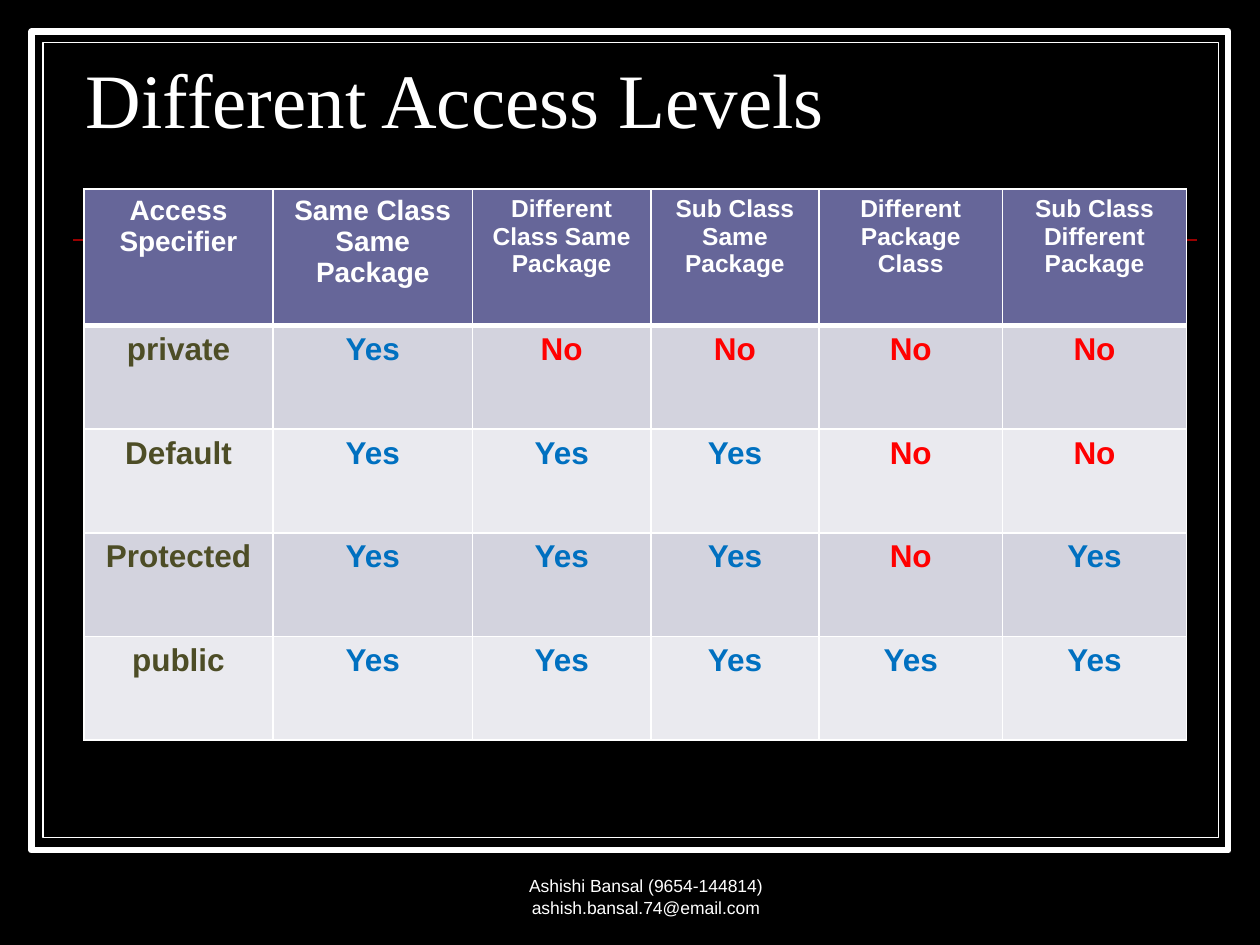
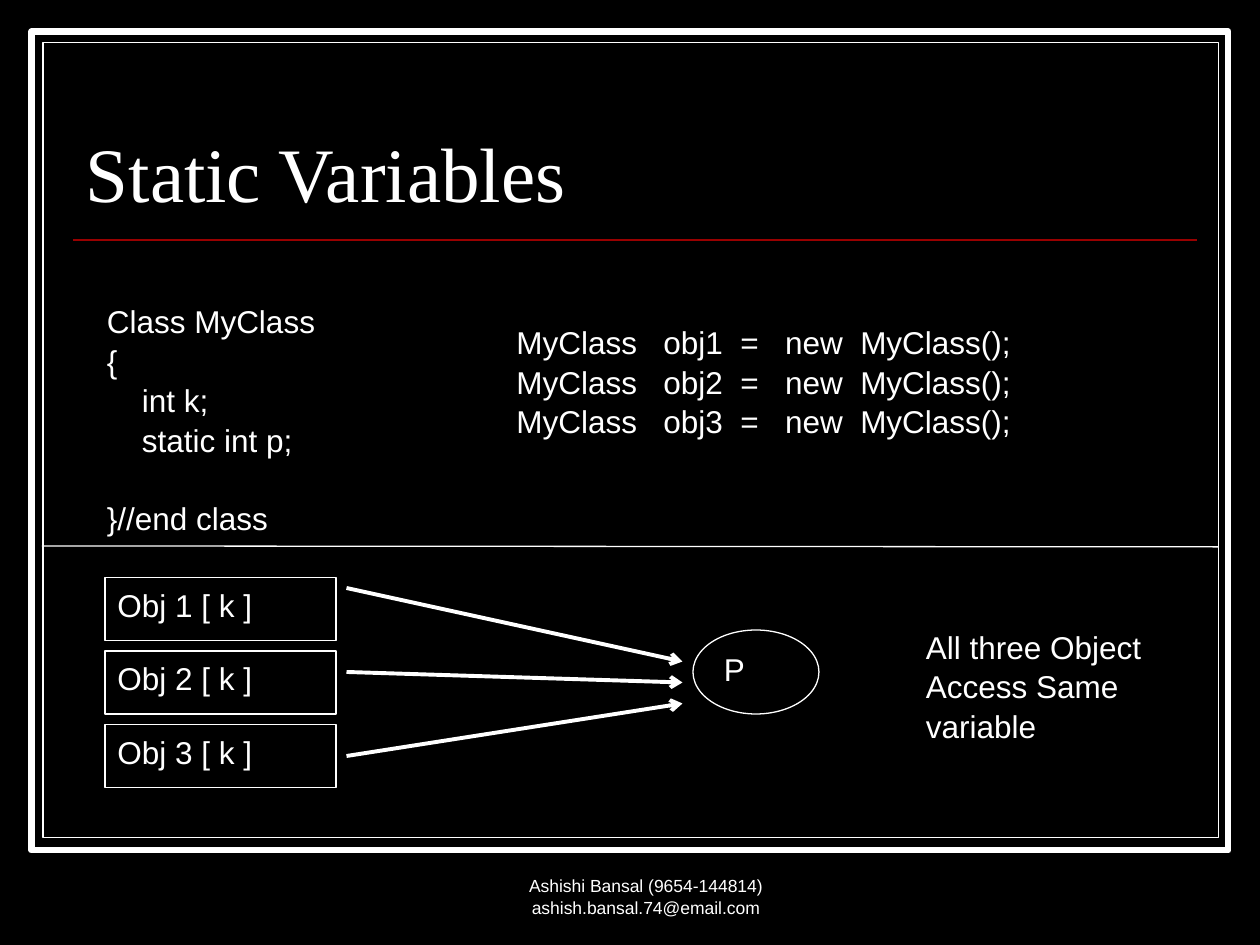
from copy import deepcopy

from lxml import etree
from pptx import Presentation
from pptx.dml.color import RGBColor
from pptx.enum.shapes import MSO_CONNECTOR, MSO_SHAPE
from pptx.enum.text import MSO_ANCHOR, PP_ALIGN
from pptx.oxml.ns import qn
from pptx.util import Pt

RECT, OVAL = MSO_SHAPE.RECTANGLE, MSO_SHAPE.OVAL
LINE = MSO_CONNECTOR.STRAIGHT
TOP, BOTTOM = MSO_ANCHOR.TOP, MSO_ANCHOR.BOTTOM
LEFT, CENTER = PP_ALIGN.LEFT, PP_ALIGN.CENTER

BLACK, WHITE, RULE = "000000", "FFFFFF", "990000"
HEAD, BANDS = "666699", ("D3D3DE", "EAEAEF")
INKS = {"Yes": "0070C0", "No": "FF0000"}
OLIVE = "4D4D26"
FOOTER = "Ashishi Bansal (9654-144814) ashish.bansal.74@email.com"


def color(code):
    return RGBColor.from_string(code)


class Deck:
    body = {"name": "Arial", "size": Pt(18)}
    head = {"name": "Times New Roman", "size": Pt(44)}
    small = {"name": "Arial", "size": Pt(10)}

    def __init__(self):
        self.prs = Presentation()
        self.prs.slide_width, self.prs.slide_height = Pt(720), Pt(540)
        self.slide = None

    # Shared page: background, double frame, rule, title, footer
    def page(self, title, box):
        self.slide = self.prs.slides.add_slide(self.prs.slide_layouts[6])
        fill = self.slide.background.fill
        fill.solid()
        fill.fore_color.rgb = color(BLACK)
        self.shape(RECT, (18, 18, 684, 468), width=3.5, fill=BLACK)
        self.shape(RECT, (24.5, 24.5, 672, 454), fill=BLACK)
        self.line((42, 137), (684, 137), RULE, 1)
        self.text(box, [title], self.head, space=0.8, anchor=BOTTOM)
        self.text((255, 492, 228, 36), [FOOTER], self.small,
                  align=CENTER, anchor=BOTTOM)

    # Fill in paragraphs; a newline inside one is a line break
    def put(self, frame, lines, font, ink=WHITE, align=LEFT, space=1.05):
        for i, line in enumerate(lines):
            par = frame.add_paragraph() if i else frame.paragraphs[0]
            par.text = line
            par.alignment = align
            par.line_spacing = space
            for run in par.runs:
                for key, value in font.items():
                    setattr(run.font, key, value)
                run.font.color.rgb = color(ink)
            for gap in par._p.findall(qn("a:br")):
                gap.insert(0, deepcopy(par.runs[0].font._element))

    def text(self, box, lines, font=None, anchor=TOP, **form):
        item = self.slide.shapes.add_textbox(*map(Pt, box))
        frame = item.text_frame
        frame.word_wrap = True
        frame.vertical_anchor = anchor
        self.put(frame, lines, font or self.body, **form)
        return frame.paragraphs

    def tabs(self, par, stops):
        tabs = etree.SubElement(par._p.get_or_add_pPr(), qn("a:tabLst"))
        for stop in stops:
            etree.SubElement(tabs, qn("a:tab"), pos=str(Pt(stop)), algn="l")

    def shape(self, kind, box, label=None, width=0.75, fill=None):
        item = self.slide.shapes.add_shape(kind, *map(Pt, box))
        item.shadow.inherit = False
        if fill:
            item.fill.solid()
            item.fill.fore_color.rgb = color(fill)
        else:
            item.fill.background()
        item.line.color.rgb = color(WHITE)
        item.line.width = Pt(width)
        if label:
            item.text_frame.vertical_anchor = TOP
            self.put(item.text_frame, [label], self.body)

    def line(self, start, end, ink=WHITE, width=0.75, arrow=False):
        item = self.slide.shapes.add_connector(LINE, *map(Pt, start + end))
        item.line.color.rgb = color(ink)
        item.line.width = Pt(width)
        if arrow:
            edge = item._element.spPr.find(qn("a:ln"))
            etree.SubElement(edge, qn("a:tailEnd"), type="arrow")
        etree.SubElement(item._element.spPr, qn("a:effectLst"))

    def cell(self, cell, label, fill, ink, size, edges):
        self.put(cell.text_frame, [label],
                 {"name": "Arial", "size": Pt(size), "bold": True},
                 ink=ink, align=CENTER, space=1)
        props = cell._tc.get_or_add_tcPr()
        for side, width in edges.items():
            edge = etree.SubElement(props, qn("a:ln" + side), w=str(Pt(width)))
            paint = etree.SubElement(edge, qn("a:solidFill"))
            etree.SubElement(paint, qn("a:srgbClr"), val=WHITE)
        cell.fill.solid()
        cell.fill.fore_color.rgb = color(fill)

    def table(self, left, top, cols, rows, data):
        grid = self.slide.shapes.add_table(
            len(rows), len(cols), Pt(left), Pt(top),
            Pt(sum(cols)), Pt(sum(rows))).table
        for col, width in zip(grid.columns, cols):
            col.width = Pt(width)
        for row, height in zip(grid.rows, rows):
            row.height = Pt(height)
        for r, row in enumerate(data):
            # A thick edge parts the header from the rows
            edges = {"L": 1, "R": 1, "T": 3 if r == 1 else 1,
                     "B": 1 if r else 3}
            for c, label in enumerate(row):
                if r:
                    form = BANDS[(r - 1) % 2], INKS.get(label, OLIVE), 18
                else:
                    form = HEAD, WHITE, 16 if c < 2 else 14
                self.cell(grid.cell(r, c), label, *form, edges)


deck = Deck()

# Slide 1: access table
deck.page("Different Access Levels", (42, 30, 642, 55.5))
deck.table(48, 108, [108, 114, 102, 96, 105, 105], [78] + [59.25] * 4, [
    ["Access\nSpecifier", "Same Class\nSame Package",
     "Different Class Same Package", "Sub Class\nSame Package",
     "Different Package Class", "Sub Class Different Package"],
    ["private", "Yes", "No", "No", "No", "No"],
    ["Default", "Yes", "Yes", "Yes", "No", "No"],
    ["Protected", "Yes", "Yes", "Yes", "No", "Yes"],
    ["public", "Yes", "Yes", "Yes", "Yes", "Yes"],
])

# Slide 2: code samples
deck.page("Static Variables", (42, 37.5, 642, 90))
code = deck.text((54, 168, 138, 138), [
    "Class MyClass", "{", "int k;", "static int p;", "}//end class"])
for par in code[2:4]:
    par._p.get_or_add_pPr().set("marL", str(Pt(20)))
code[4].space_before = Pt(21.6)
calls = deck.text((288, 180, 300, 94), [
    f"MyClass\tobj{n}\t=\tnew\tMyClass();" for n in (1, 2, 3)])
for par in calls:
    deck.tabs(par, (84, 128, 153.5, 196.5))

# Slide 2: objects that share one variable
deck.line((24, 312), (696, 312.5))
for n in range(3):
    deck.shape(RECT, (60, 330 + 42 * n, 132, 36), f"Obj {n + 1} [ k ]")
    deck.line((198, 336 + 48 * n), (390, 378 + 12 * n), width=2.25, arrow=True)
deck.shape(OVAL, (396, 360, 72, 48), "P")
deck.text((522, 354, 144, 73), ["All three Object\nAccess Same\nvariable"])

deck.prs.save("out.pptx")
